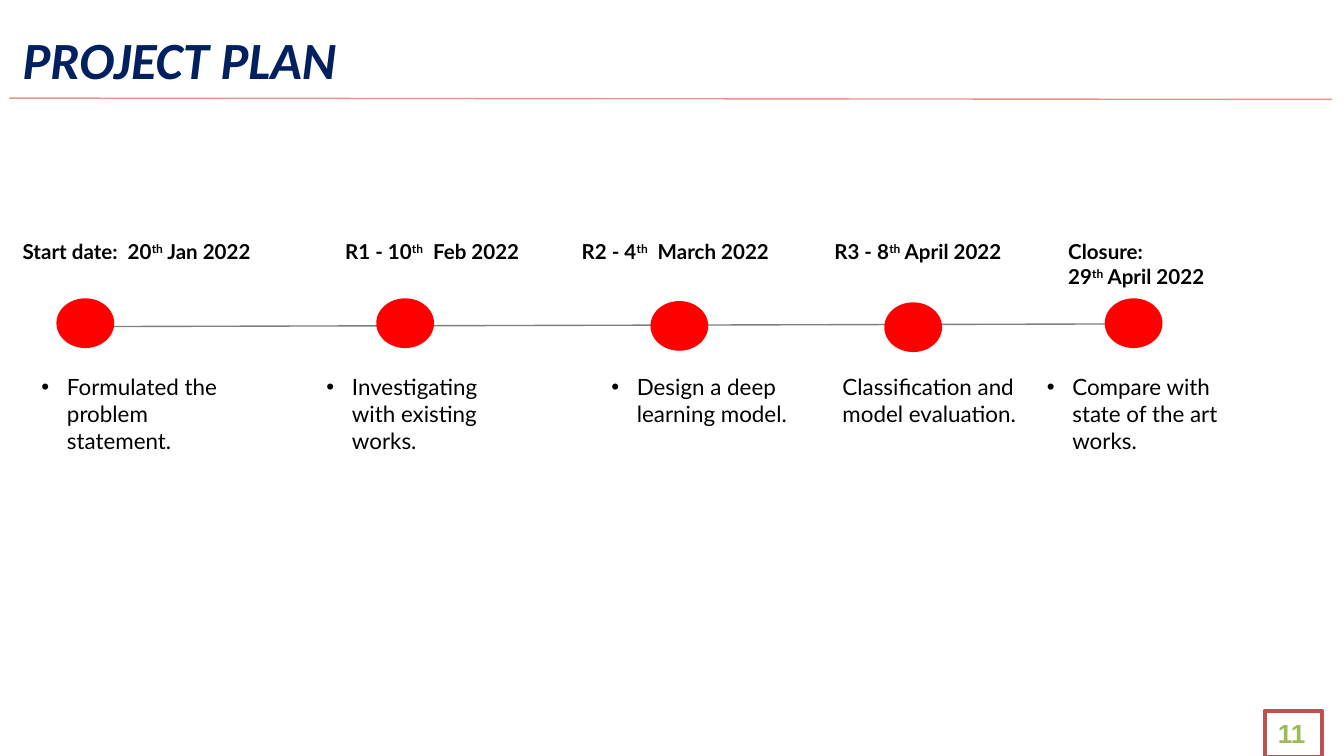
from dataclasses import dataclass

from lxml import etree
from pptx import Presentation
from pptx.dml.color import RGBColor
from pptx.enum.shapes import MSO_CONNECTOR, MSO_SHAPE
from pptx.enum.text import MSO_ANCHOR, PP_ALIGN
from pptx.oxml.ns import qn
from pptx.util import Inches, Pt

STRAIGHT = MSO_CONNECTOR.STRAIGHT
OVAL = MSO_SHAPE.OVAL
RECTANGLE = MSO_SHAPE.RECTANGLE
LEFT = PP_ALIGN.LEFT
TOP = MSO_ANCHOR.TOP

WHITE = RGBColor(0xFF, 0xFF, 0xFF)
BLACK = RGBColor(0x00, 0x00, 0x00)
NAVY = RGBColor(0x00, 0x20, 0x60)
RED = RGBColor(0xFF, 0x00, 0x00)
SALMON = RGBColor(0xE4, 0x94, 0x8A)
GRAY = RGBColor(0x7F, 0x7F, 0x7F)
BRICK = RGBColor(0xC0, 0x50, 0x4D)
GREEN = RGBColor(0x9B, 0xBB, 0x59)

SLIDE_WIDTH = Inches(10)
SLIDE_HEIGHT = SLIDE_WIDTH * 9 // 16
BODY_FONT = "Lato"
DATE_TOP = 1.73
TASK_TOP = 2.73
MARKER_WIDTH, MARKER_HEIGHT = 0.43, 0.37
BULLET_INDENT = 0.19


@dataclass
class Milestone:
    """One stop on the timeline; boxes hold left, width and height."""

    date: str
    date_box: tuple
    marker: tuple
    task: str
    task_box: tuple
    bulleted: bool = True


MILESTONES = [
    Milestone("Start date:  20th Jan 2022", (0.07, 2.12, 0.79), (0.42, 2.22),
              "Formulated the problem statement.", (0.21, 1.68, 0.71)),
    Milestone("R1 - 10th  Feb 2022", (2.47, 1.64, 0.79), (2.8, 2.22),
              "Investigating with existing works.", (2.33, 1.68, 0.79)),
    Milestone("R2 - 4th  March 2022", (4.23, 1.68, 0.79), (4.84, 2.24),
              "Design a deep learning model.", (4.45, 1.55, 2.42)),
    Milestone("R3 - 8th April 2022", (6.11, 1.55, 0.79), (6.58, 2.25),
              "Classification and model evaluation.", (6.17, 1.49, 2.42), False),
    Milestone("Closure:\n29th April 2022", (7.85, 1.56, 1.26), (8.22, 2.22),
              "Compare with state of the art works.", (7.69, 1.49, 2.42)),
]


def style_run(run, font, size, color, bold=False, italic=False):
    """Set the look of one run."""
    run.font.name = font
    run.font.size = Pt(size)
    run.font.color.rgb = color
    run.font.bold = bold
    run.font.italic = italic


def add_text_frame(slide, left, top, width, height):
    """Add a wrapping text box and return its text frame."""
    box = slide.shapes.add_textbox(
        Inches(left), Inches(top), Inches(width), Inches(height))
    box.text_frame.word_wrap = True
    return box.text_frame


def add_rule(slide, begin, end, color):
    """Add a thin straight line without a shadow."""
    rule = slide.shapes.add_connector(
        STRAIGHT, *(Inches(value) for value in (*begin, *end)))
    rule.line.color.rgb = color
    rule.line.width = Pt(0.75)
    etree.SubElement(rule._element.spPr, qn("a:effectLst"))


def add_solid(slide, preset, left, top, width, height, fill):
    """Add a filled preset shape without a shadow."""
    solid = slide.shapes.add_shape(
        preset, Inches(left), Inches(top), Inches(width), Inches(height))
    solid.shadow.inherit = False
    solid.fill.solid()
    solid.fill.fore_color.rgb = fill
    return solid


def add_title(slide, title):
    """Add the slide heading and the rule below it."""
    add_rule(slide, (0.07, 0.73), (9.91, 0.74), SALMON)
    heading = add_text_frame(slide, 0.07, 0.15, 9.77, 0.55).paragraphs[0]
    heading.text = title
    style_run(heading.runs[0], "Calibri", 28, NAVY, bold=True, italic=True)


def add_page_number(slide, number):
    """Add the framed page number."""
    frame = add_solid(slide, RECTANGLE, 9.41, 5.29, 0.43, 0.34, WHITE)
    frame.line.color.rgb = BRICK
    frame.line.width = Pt(2)
    frame.text_frame.vertical_anchor = TOP
    label = frame.text_frame.paragraphs[0]
    label.text = number
    label.alignment = LEFT
    style_run(label.runs[0], "Arial", 14, GREEN, bold=True)


def add_date(slide, date, left, width, height):
    """Add a bold date whose ordinal suffix is raised."""
    frame = add_text_frame(slide, left, DATE_TOP, width, height)
    frame.text = date
    for paragraph in frame.paragraphs:
        day, suffix, month = paragraph.text.partition("th")
        paragraph.text = day
        if suffix:
            ordinal = paragraph.add_run()
            ordinal.text = suffix
            ordinal._r.get_or_add_rPr().set("baseline", "30000")
            paragraph.add_run().text = month
        for run in paragraph.runs:
            style_run(run, BODY_FONT, 11, BLACK, bold=True)


def add_bullet(paragraph):
    """Give a paragraph a black bullet and a hanging indent."""
    properties = paragraph._p.get_or_add_pPr()
    properties.set("marL", str(Inches(BULLET_INDENT)))
    properties.set("indent", str(-Inches(BULLET_INDENT)))
    color = etree.SubElement(properties, qn("a:buClr"))
    etree.SubElement(color, qn("a:srgbClr"), val=str(BLACK))
    etree.SubElement(properties, qn("a:buFont"), typeface="Arial")
    etree.SubElement(properties, qn("a:buChar"), char="•")


def add_task(slide, task, left, width, height, bulleted):
    """Add the description below a milestone."""
    paragraph = add_text_frame(slide, left, TASK_TOP, width, height).paragraphs[0]
    paragraph.text = task
    style_run(paragraph.runs[0], BODY_FONT, 12, BLACK)
    if bulleted:
        add_bullet(paragraph)


def add_milestone(slide, milestone):
    """Add the date, marker and task of one milestone."""
    add_date(slide, milestone.date, *milestone.date_box)
    marker = add_solid(
        slide, OVAL, *milestone.marker, MARKER_WIDTH, MARKER_HEIGHT, RED)
    marker.line.fill.background()
    add_task(slide, milestone.task, *milestone.task_box, milestone.bulleted)


def main():
    """Build the project plan slide and save it."""
    presentation = Presentation()
    presentation.slide_width = SLIDE_WIDTH
    presentation.slide_height = SLIDE_HEIGHT
    slide = presentation.slides.add_slide(presentation.slide_layouts[6])
    add_title(slide, "PROJECT PLAN")
    add_page_number(slide, "11")
    add_rule(slide, (8.55, 2.41), (0.67, 2.43), GRAY)
    for milestone in MILESTONES:
        add_milestone(slide, milestone)
    presentation.save("out.pptx")


if __name__ == "__main__":
    main()
